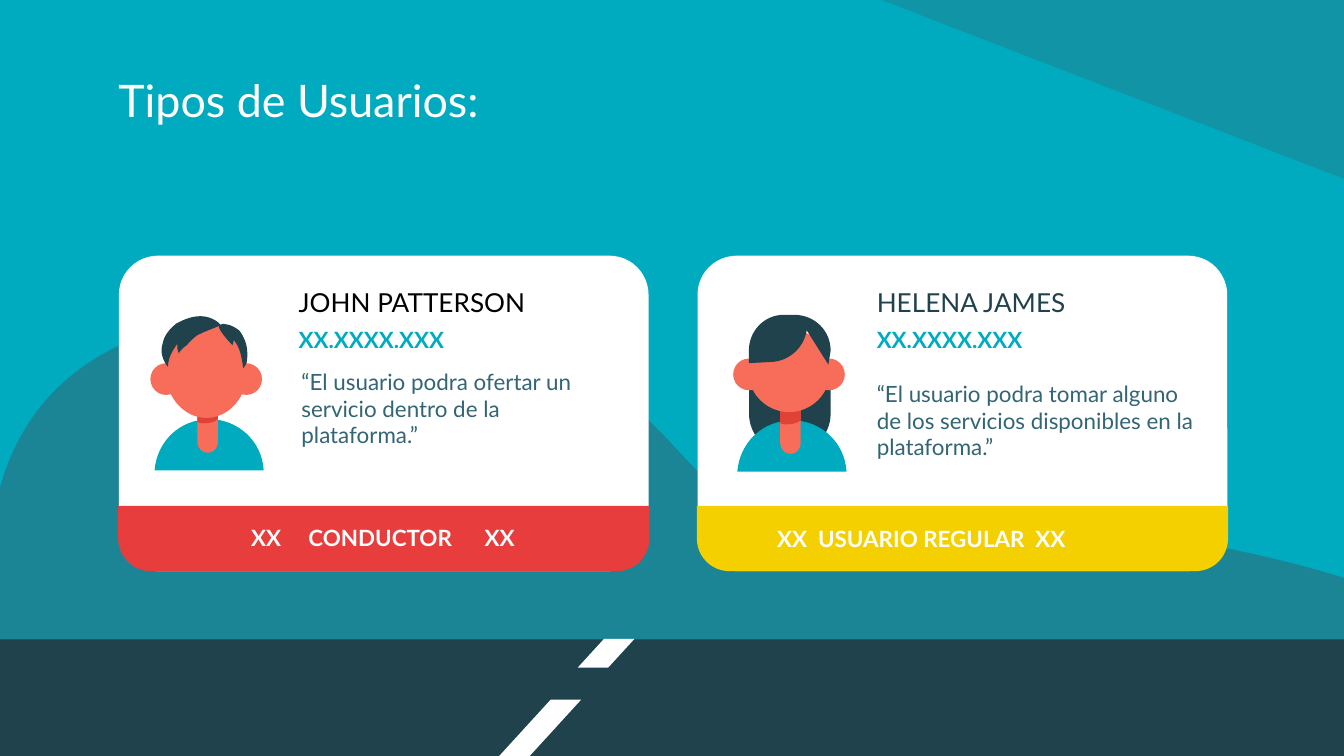
from lxml import etree
from pptx import Presentation
from pptx.dml.color import RGBColor
from pptx.enum.shapes import MSO_SHAPE
from pptx.enum.text import MSO_ANCHOR, PP_ALIGN
from pptx.oxml.ns import qn
from pptx.util import Pt

RECT, OVAL = MSO_SHAPE.RECTANGLE, MSO_SHAPE.OVAL
TRIANGLE, DASH = MSO_SHAPE.RIGHT_TRIANGLE, MSO_SHAPE.PARALLELOGRAM
CARD, BAND = MSO_SHAPE.ROUNDED_RECTANGLE, MSO_SHAPE.ROUND_2_SAME_RECTANGLE
TOP, MIDDLE, BOTTOM = MSO_ANCHOR.TOP, MSO_ANCHOR.MIDDLE, MSO_ANCHOR.BOTTOM
LEFT, CENTER = PP_ALIGN.LEFT, PP_ALIGN.CENTER

TEAL, SLATE, NAVY, WHITE = "00ABBF", "336574", "1F424C", "FFFFFF"
SKIN, SHADE = "F76D59", "E04336"

prs = Presentation()
prs.slide_width, prs.slide_height = Pt(720), Pt(405)
s = prs.slides.add_slide(prs.slide_layouts[5])
s.background.fill.solid()
s.background.fill.fore_color.rgb = RGBColor.from_string(TEAL)


def paint(sp, color, opacity=100):
    """Flat fill without line or shadow."""
    sp.shadow.inherit = False
    sp.line.fill.background()
    sp.fill.solid()
    sp.fill.fore_color.rgb = RGBColor.from_string(color)
    if opacity < 100:
        clr = sp._element.spPr.find(".//" + qn("a:srgbClr"))
        etree.SubElement(clr, qn("a:alpha")).set("val", str(opacity * 1000))
    return sp


def add_curve(segments, color, dx=0, dy=0, opacity=100):
    """Closed outline: pairs are points, sixes are Bezier segments, in points."""
    pts = [(Pt(x + dx), Pt(y + dy)) for seg in segments
           for x, y in zip(seg[::2], seg[1::2])]
    fb = s.shapes.build_freeform(*pts[0], scale=1.0)
    fb.add_line_segments(pts[1:], close=True)
    sp = fb.convert_to_shape()
    lines = iter(sp._element.findall(".//" + qn("a:lnTo")))
    for seg in segments[1:]:
        ln = next(lines)
        if len(seg) == 6:  # merge three line ends into one curve
            ln.tag = qn("a:cubicBezTo")
            for other in (next(lines), next(lines)):
                ln.append(other[0])
                other.getparent().remove(other)
    return paint(sp, color, opacity)


# Landscape and road
sp = s.shapes.add_shape(TRIANGLE, Pt(472.3), Pt(0), Pt(247.7), Pt(95.8))
sp.rotation = 180
paint(sp, SLATE, 32)
hills = [(168.5, 167), (270, 167, 323.3, 201.6, 348.5, 226.1),
         (381.6, 258.5, 391.7, 283.7, 452.2, 283.7),
         (462.2, 283.7, 473.8, 283, 487.4, 281.5), (491, 281.5),
         (502.6, 280.8, 514.1, 280.1, 524.9, 280.1),
         (635, 280.1, 724.3, 311, 724.3, 311), (723.6, 360.7), (2.2, 367.2),
         (2.2, 367.2, -54.7, 182.2, 133.2, 168.5),
         (145.4, 167.8, 156.2, 167, 168.5, 167)]
add_curve(hills, SLATE, opacity=54)
paint(s.shapes.add_shape(RECT, Pt(0), Pt(342.5), Pt(720), Pt(62.5)), NAVY)
for x, y in [(309.5, 342.3), (281, 374.8), (267.3, 389.8)]:
    sp = s.shapes.add_shape(DASH, Pt(x), Pt(y), Pt(30.4), Pt(15.4))
    sp.adjustments[0] = 0.915
    paint(sp, WHITE)

# Cards with a coloured band
for x, color in [(63.7, "E83D3D"), (373.7, "F4D000")]:
    sp = s.shapes.add_shape(CARD, Pt(x), Pt(137), Pt(283.8), Pt(169))
    sp.adjustments[0] = 0.124
    paint(sp, WHITE)
    sp = s.shapes.add_shape(BAND, Pt(x - 0.4), Pt(271), Pt(284.6), Pt(35))
    sp.adjustments[0], sp.adjustments[1] = 0.5, 0
    sp.rotation = 180
    paint(sp, color)

# People: torso, neck and neck shade are shared; face, ears and hair differ
torso = [(112.3, 224.6), (96.5, 224.6, 84.2, 236.2, 82.8, 252), (141.3, 252),
         (140.4, 236.2, 127.4, 224.6, 112.3, 224.6)]
neck = [(105.8, 215.3), (105.8, 236.9), (105.8, 239.8, 108, 242.6, 111.4, 242.6),
        (114.5, 242.6, 116.8, 239.8, 116.8, 236.9), (116.8, 215.3)]
neck_shade = [(105.8, 215.3), (105.8, 226.1), (106.6, 226.8, 108, 226.8, 109.4, 226.8),
              (112.3, 226.8, 115.2, 226.1, 116.8, 224.6), (116.8, 215.3)]
left_hair = [(107.3, 169.4), (103.7, 169.4, 99.4, 170.6, 94.3, 173.5),
             (90.7, 176.4, 87.8, 180, 87.1, 184.3), (85.7, 188.6, 87.1, 193, 90, 196.6),
             (90, 192.2, 92.2, 187.9, 95, 184.3), (95, 186.5, 95, 187.9, 95.8, 189.4),
             (95.8, 188.6, 99.4, 185, 100.1, 185), (101.5, 182.9, 103.7, 181.4, 105.1, 180),
             (108.7, 177.8, 113.8, 176.4, 118.1, 174.2),
             (118.1, 173.5, 113.8, 169.4, 107.3, 169.4)]
right_hair = [(119.5, 173.5), (118.8, 173.5, 118.1, 173.5, 117.4, 174.2),
              (115.9, 175.7, 123.1, 183.6, 124.6, 185), (124.6, 184.3, 125.3, 182.9, 125.3, 182.2),
              (128.9, 186.5, 129.6, 192.2, 130.3, 197.3), (132.5, 195.1, 132.5, 192.2, 132.5, 189.4),
              (132.5, 185, 131, 180.7, 128.2, 177.1), (127.4, 176.4, 125.3, 175, 123.1, 174.2),
              (122.4, 174.2, 121, 173.5, 119.5, 173.5)]
long_hair = [(401.3, 194.4), (401.3, 221.8), (401.3, 233.3, 411.1, 243.4, 422.9, 243.4),
             (434.9, 243.4, 445, 233.3, 445, 221.8), (445, 195.1), (401.3, 194.4)]
fringe = [(419.8, 168.7), (409.7, 168.7, 401.2, 177.1, 401.2, 187.9), (401.2, 194.6),
          (414, 193.9), (422.6, 193.2, 430.6, 186.7, 432.2, 177), (443.8, 195.4), (445, 187.9),
          (445, 177.1, 436.3, 168.7, 425.5, 168.7)]
people = [
    dict(dx=0, dy=0, face_top=172.8, face_h=51.1, ear_y=194.6,
         back=[], front=[left_hair, right_hair]),
    dict(dx=312.2, dy=0.6, face_top=176.4, face_h=44.4, ear_y=192.1,
         back=[long_hair], front=[fringe]),
]
for who in people:
    dx, dy = who["dx"], who["dy"]
    for hair in who["back"]:
        add_curve(hair, NAVY)
    for part, color in [(torso, TEAL), (neck, SKIN), (neck_shade, SHADE)]:
        add_curve(part, color, dx, dy)
    for x, y, w, h in [(88.6, who["face_top"], 44, who["face_h"]),
                       (80.6, who["ear_y"], 17, 17), (123.4, who["ear_y"], 17, 17)]:
        paint(s.shapes.add_shape(OVAL, Pt(x + dx), Pt(y), Pt(w), Pt(h)), SKIN)
    for hair in who["front"]:
        add_curve(hair, NAVY)

# Text: box, wording, size, colour, bold, anchor, alignment, indent
texts = [((56.2, 30.6, 607.7, 45.4), "Tipos de Usuarios:", 24, WHITE, False, MIDDLE, LEFT, 0)]
for x, name, name_color, qx, qy, quote, bx, by, role, align in [
    (152.9, "JOHN PATTERSON", "000000", 154.4, 189.9,
     "“El usuario podra ofertar un servicio dentro de la plataforma.”",
     45, 272.2, "XX     CONDUCTOR      XX", CENTER),
    (462.6, "HELENA JAMES", NAVY, 462.6, 196.3,
     "“El usuario podra tomar alguno de los servicios disponibles en la plataforma.”",
     373.3, 272.9, "XX  USUARIO REGULAR  XX", LEFT),
]:
    texts += [
        ((x, 146, 195.8, 25.9), name, 14, name_color, False, TOP, LEFT, 0),
        ((x, 166.3, 195.8, 30.2), "XX.XXXX.XXX", 12, TEAL, True, BOTTOM, LEFT, 0),
        ((qx, qy, 185.8, 76.3), quote, 12, SLATE, False, TOP, LEFT, 0),
        ((bx, by, 284.4, 30.2), role, 12, WHITE, True, BOTTOM, align, 36),
    ]
for i, (box, text, size, color, bold, anchor, align, indent) in enumerate(texts):
    box = [Pt(v) for v in box]
    if i == 0:
        sp = s.shapes.title
        sp.left, sp.top, sp.width, sp.height = box
    else:
        sp = s.shapes.add_textbox(*box)
    tf = sp.text_frame
    frame = dict(word_wrap=True, vertical_anchor=anchor, margin_left=Pt(7.2),
                 margin_right=Pt(7.2), margin_top=Pt(7.2), margin_bottom=Pt(7.2))
    for key, value in frame.items():
        setattr(tf, key, value)
    p = tf.paragraphs[0]
    p.alignment = align
    if indent:
        p._p.get_or_add_pPr().set("marL", str(Pt(indent)))
    r = p.add_run()
    r.text = text
    for key, value in dict(name="Lato", size=Pt(size), bold=bold).items():
        setattr(r.font, key, value)
    r.font.color.rgb = RGBColor.from_string(color)

prs.save("out.pptx")
